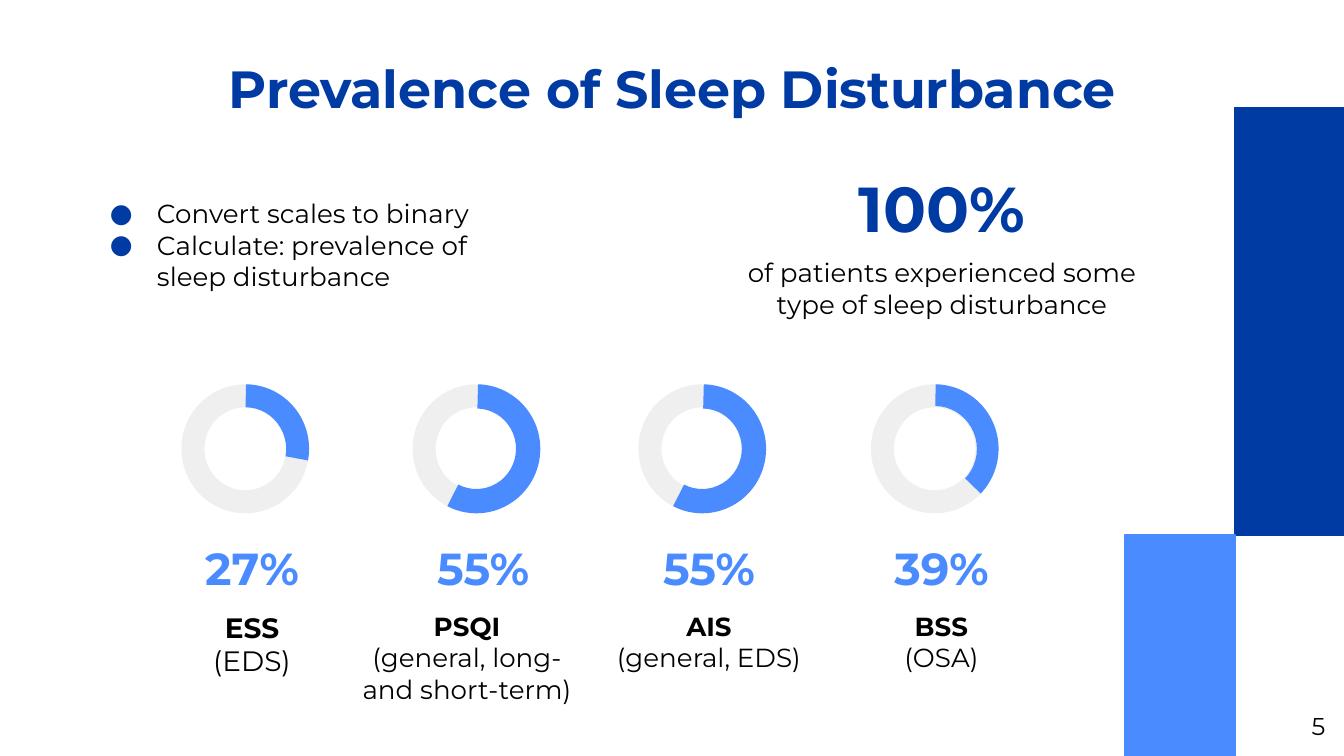
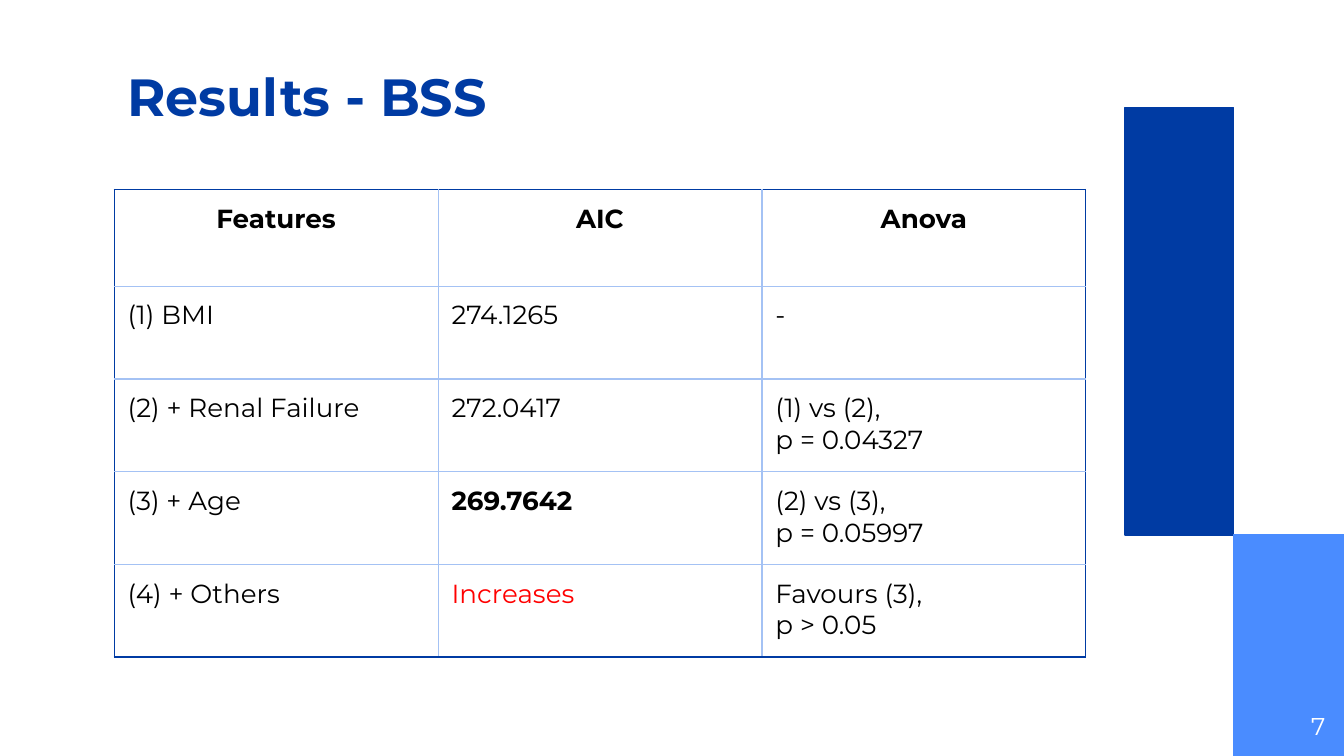
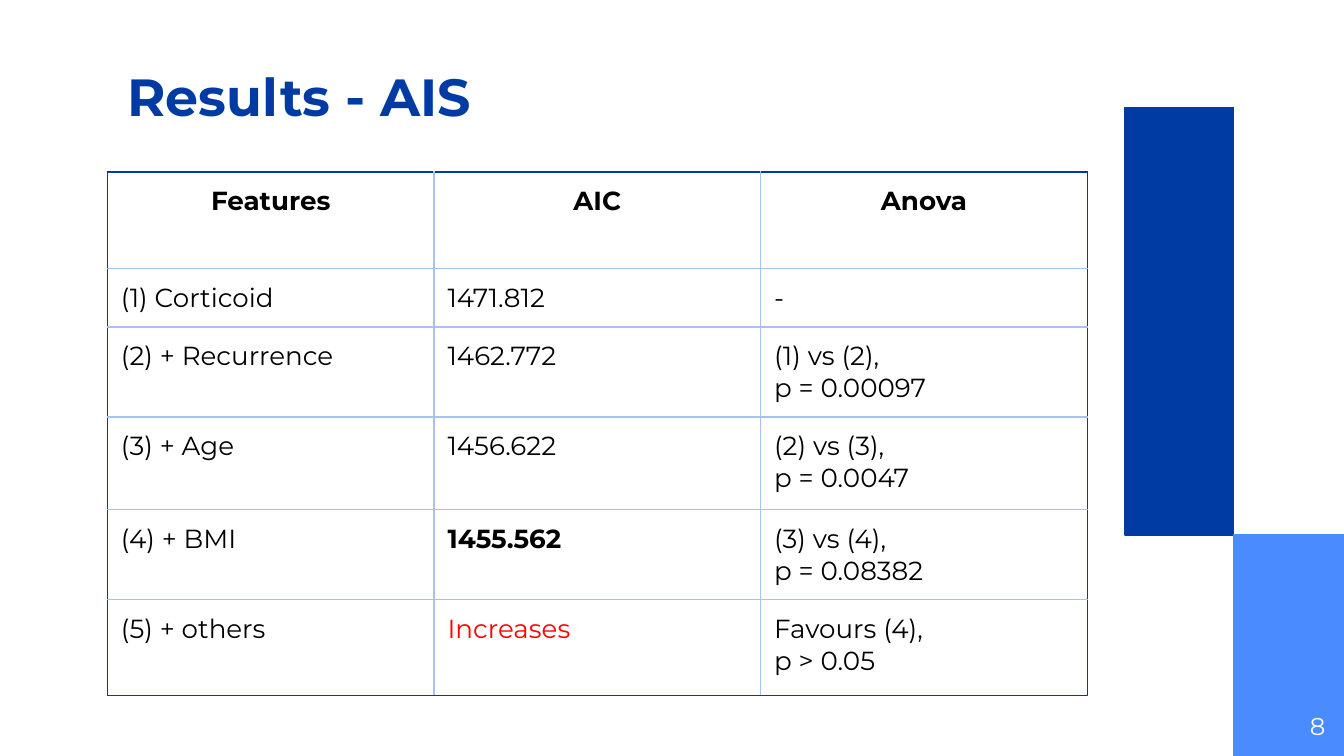
from lxml import etree
from pptx import Presentation
from pptx import util as u
from pptx.dml.color import RGBColor
from pptx.enum import shapes, text
from pptx.oxml.ns import qn

FONT = "Montserrat"
C = {"navy": "003BA3", "blue": "4A8CFF", "pale": "A4C2F4", "gray": "EFEFEF",
     "red": "FF0000", "black": "000000", "white": "FFFFFF"}
LEFT, CENTER, RIGHT = text.PP_ALIGN.LEFT, text.PP_ALIGN.CENTER, text.PP_ALIGN.RIGHT
TOP, MIDDLE = text.MSO_ANCHOR.TOP, text.MSO_ANCHOR.MIDDLE
RECT, DONUT, ARC = (shapes.MSO_SHAPE.RECTANGLE, shapes.MSO_SHAPE.DONUT,
                    shapes.MSO_SHAPE.BLOCK_ARC)

DIALS = [
    {"left": 0.93, "value": "27%", "name": "ESS", "note": "(EDS)", "size": 15,
     "arc": (162.32, 6.31, 0.18)},
    {"left": 2.65, "value": "55%", "name": "PSQI", "note": "(general, long- and short-term)",
     "arc": (162.84, 70.14, 0.19), "label": (-0.15, 1.95)},
    {"left": 4.33, "value": "55%", "name": "AIS", "note": "(general, EDS)",
     "arc": (162.84, 70.14, 0.19)},
    {"left": 6.06, "value": "39%", "name": "BSS", "note": "(OSA)",
     "arc": (162.47, 26.56, 0.17)},
]
HEADINGS = ["Features", "AIC", "Anova"]
BSS_ROWS = [
    ["(1) BMI", "274.1265", "-"],
    ["(2) + Renal Failure", "272.0417", "(1) vs (2),\np = 0.04327"],
    ["(3) + Age", "269.7642", "(2) vs (3),\np = 0.05997"],
    ["(4) + Others", "Increases", "Favours (3),\np > 0.05"],
]
AIS_ROWS = [
    ["(1) Corticoid", "1471.812", "-"],
    ["(2) + Recurrence", "1462.772", "(1) vs (2),\np = 0.00097"],
    ["(3) + Age", "1456.622", "(2) vs (3),\np = 0.0047"],
    ["(4) + BMI", "1455.562", "(3) vs (4),\np = 0.08382"],
    ["(5) + others", "Increases", "Favours (4),\np > 0.05"],
]


def rgb(name):
    """Return a palette colour."""
    return RGBColor.from_string(C[name])


def inches(*box):
    """Convert numbers to lengths."""
    return [u.Inches(v) for v in box]


def write(tf, paragraphs, size, color="black", align=LEFT, after=None):
    """Fill a frame with paragraphs, each a list of (line, bold) pairs."""
    for i, lines in enumerate(paragraphs):
        p = tf.paragraphs[0] if i == 0 else tf.add_paragraph()
        p.alignment = align
        if after is not None:
            p.space_after = u.Pt(after)
        for j, (line, bold) in enumerate(lines):
            if j:
                p.add_line_break()
            r = p.add_run()
            r.text = line
            r.font.name, r.font.size, r.font.bold = FONT, u.Pt(size), bold
            r.font.color.rgb = rgb(color)


def add_text(parent, box, paragraphs, size, color="black", align=LEFT, anchor=TOP, after=None):
    """Add a wrapping text box."""
    sp = parent.shapes.add_textbox(*inches(*box))
    tf = sp.text_frame
    tf.word_wrap, tf.vertical_anchor = True, anchor
    tf.margin_left = tf.margin_right = tf.margin_top = tf.margin_bottom = u.Inches(0.1)
    write(tf, paragraphs, size, color, align, after)
    return sp


def add_block(parent, kind, box, color, outlined=False, adjust=()):
    """Add a filled preset shape."""
    sp = parent.shapes.add_shape(kind, *inches(*box))
    sp.shadow.inherit = False
    sp.fill.solid()
    sp.fill.fore_color.rgb = rgb(color)
    if outlined:
        sp.line.color.rgb = rgb(color)
        sp.line.width = u.Pt(0.75)
    else:
        sp.line.fill.background()
    for i, value in enumerate(adjust):
        sp.adjustments[i] = value


def add_frame(prs, title, title_box, number, navy_left, blue_left,
              align=LEFT, number_color="white"):
    """Start a slide with its title, two bands and page number."""
    s = prs.slides.add_slide(prs.slide_layouts[6])
    add_text(s, title_box, [[(title, True)]], 28, "navy", align)
    add_block(s, RECT, (navy_left, 0.8, 0.81, 3.18), "navy", True)
    add_block(s, RECT, (blue_left, 3.98, 0.82, 1.65), "blue", True)
    add_text(s, (9.36, 5.19, 0.6, 0.43), [[(str(number), False)]], 13, number_color, RIGHT)
    return s


def add_bullets(s, box, items):
    """Add the list of method steps."""
    sp = add_text(s, box, [[(item, False)] for item in items], 14)
    sp.line.color.rgb = rgb("white")
    sp.line.width = u.Pt(1.5)
    for p in sp.text_frame.paragraphs:
        ppr = p._p.get_or_add_pPr()
        ppr.set("marL", str(u.Inches(0.5)))
        ppr.set("indent", str(u.Inches(-0.35)))
        color = etree.SubElement(ppr, qn("a:buClr"))
        etree.SubElement(color, qn("a:srgbClr"), val=C["navy"])
        etree.SubElement(ppr, qn("a:buFont"), typeface=FONT)
        etree.SubElement(ppr, qn("a:buChar"), char="●")


def add_headline(s, left, top, width):
    """Add the overall figure and its explanation."""
    group = s.shapes.add_group_shape()
    add_text(group, (left, top, width, 0.64), [[("100%", True)]], 34, "navy", CENTER, MIDDLE)
    add_text(group, (left, top + 0.59, width, 0.45),
             [[("of patients experienced some type of sleep disturbance", False)]],
             14, align=CENTER, after=16)


def add_dial(group, dial, top):
    """Add one ring with its percentage and scale name."""
    left, width = dial["left"], 1.89
    shift, label_width = dial.get("label", (0, width))
    ring = (left + 0.42, top, 0.95, 0.96)
    add_block(group, DONUT, ring, "gray", adjust=[0.18])
    add_block(group, ARC, ring, "blue", adjust=dial["arc"])
    add_text(group, (left, top + 1.08, width, 0.57), [[(dial["value"], True)]],
             24, "blue", CENTER, MIDDLE)
    add_text(group, (left + shift, top + 1.58, label_width, 0.57),
             [[(dial["name"], True), (dial["note"], False)]],
             dial.get("size", 14), align=CENTER, after=16)


def set_borders(cell, outer):
    """Draw cell borders, navy on the outer sides and pale elsewhere."""
    tcpr = cell._tc.get_or_add_tcPr()
    for side in "LRTB":
        ln = etree.SubElement(tcpr, qn("a:ln" + side), w=str(u.Pt(0.75)))
        fill = etree.SubElement(ln, qn("a:solidFill"))
        etree.SubElement(fill, qn("a:srgbClr"), val=C["navy" if side in outer else "pale"])


def add_results(s, left, top, col_width, heights, rows, best):
    """Add the model comparison table, with the best AIC in bold."""
    data = [HEADINGS] + rows
    last_row, last_col = len(data) - 1, len(HEADINGS) - 1
    box = inches(left, top, col_width * len(HEADINGS), sum(heights))
    table = s.shapes.add_table(len(data), len(HEADINGS), *box).table
    table.first_row = table.horz_banding = False
    for col in table.columns:
        col.width = u.Inches(col_width)
    for i, values in enumerate(data):
        table.rows[i].height = u.Inches(heights[i])
        for j, value in enumerate(values):
            cell = table.cell(i, j)
            cell.margin_left = cell.margin_right = u.Inches(0.1)
            cell.margin_top = cell.margin_bottom = u.Inches(0.1)
            edges = {"L": j == 0, "R": j == last_col, "T": i == 0, "B": i == last_row}
            set_borders(cell, [side for side, is_outer in edges.items() if is_outer])
            cell.fill.background()
            bold = i == 0 or value == best
            write(cell.text_frame, [[(line, bold)] for line in value.split("\n")], 14,
                  "red" if value == "Increases" else "black", LEFT if i else CENTER)


def prevalence_slide(prs):
    """Build the prevalence overview."""
    s = add_frame(prs, "Prevalence of Sleep Disturbance", (0, 0.32, 10, 0.79), 5,
                  9.19, 8.37, CENTER, "black")
    add_headline(s, 5.42, 1.22, 3.18)
    group = s.shapes.add_group_shape()
    for dial in DIALS:
        add_dial(group, dial, 2.86)
    add_bullets(s, (0.57, 1.37, 3.34, 1.04),
                ["Convert scales to binary", "Calculate: prevalence of sleep disturbance"])


def results_slide(prs, scale, number, **table):
    """Build the results of one scale."""
    s = add_frame(prs, f"Results - {scale}", (0.85, 0.38, 4.48, 0.79), number, 8.37, 9.18)
    add_results(s, **table)


def main():
    """Build and save the deck."""
    prs = Presentation()
    prs.slide_width = u.Inches(10)
    prs.slide_height = u.Inches(10 * 9 / 16)
    prevalence_slide(prs)
    results_slide(prs, "BSS", 7, left=0.85, top=1.41, col_width=2.41,
                  heights=[0.72] + [0.69] * 4, rows=BSS_ROWS, best="269.7642")
    results_slide(prs, "AIS", 8, left=0.8, top=1.28, col_width=2.43,
                  heights=[0.72, 0.39, 0.67, 0.69, 0.67, 0.71], rows=AIS_ROWS, best="1455.562")
    prs.save("out.pptx")


if __name__ == "__main__":
    main()
